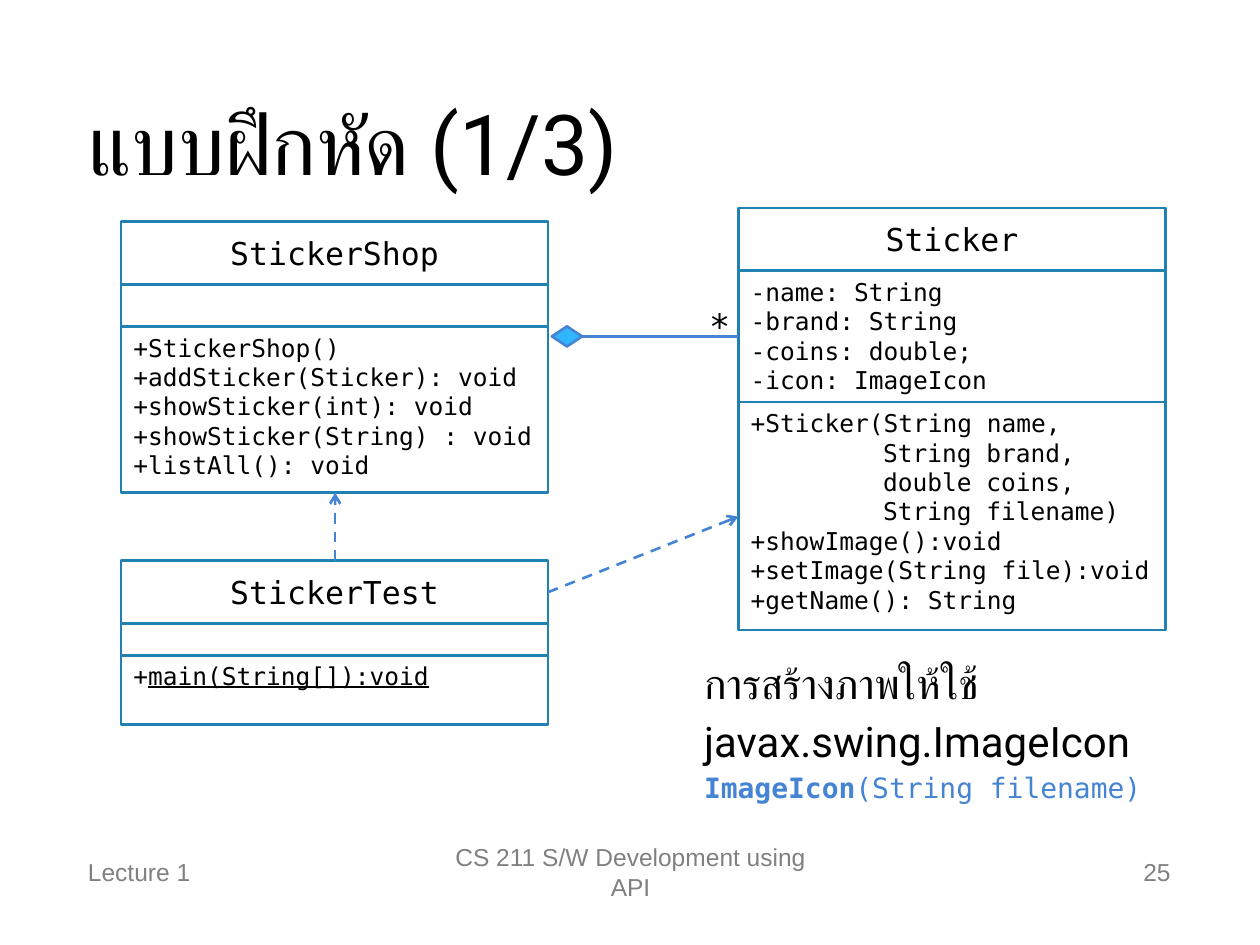
"""Build the sticker shop class diagram exercise slide."""
from dataclasses import dataclass

from lxml.etree import SubElement
from pptx import Presentation
from pptx.dml.color import RGBColor
from pptx.enum.dml import MSO_LINE
from pptx.enum.shapes import MSO_CONNECTOR, MSO_SHAPE
from pptx.enum.text import MSO_ANCHOR, PP_ALIGN
from pptx.oxml.ns import qn
from pptx.util import Inches, Pt

MONO, SANS, HEAD = "DejaVu Sans Mono", "Arial", "Roboto"
BLACK, GRAY, BORDER, LINK, DIAMOND = "000000", "808080", "2281B3", "4584D3", "31B6FD"
BOX_W, NAME_H = 3.39, 0.5


@dataclass
class Run:
    text: str
    size: float = 14
    font: str = MONO
    color: str = BLACK
    bold: bool = False
    underline: bool = False


@dataclass
class Para:
    runs: list[Run]
    align: PP_ALIGN = PP_ALIGN.LEFT
    indent: float = 0
    spacing: float = 1.0


@dataclass
class UmlClass:
    name: str
    left: float
    top: float
    fields: list[Para]
    fields_h: float
    methods: list[Para]
    methods_h: float


@dataclass
class Link:
    start: tuple[float, float]
    end: tuple[float, float]
    dashed: bool = True


@dataclass
class Label:
    box: tuple[float, float, float, float]
    paras: list[Para]
    anchor: MSO_ANCHOR = MSO_ANCHOR.TOP


def rgb(color: str) -> RGBColor:
    return RGBColor.from_string(color)


def lines(*texts: str, indent: float = 0) -> list[Para]:
    return [Para([Run(t)], indent=indent) for t in texts]


def write(tf, paras: list[Para], anchor=MSO_ANCHOR.TOP) -> None:
    tf.word_wrap = True
    tf.vertical_anchor = anchor
    for i, para in enumerate(paras):
        p = tf.add_paragraph() if i else tf.paragraphs[0]
        p.alignment = para.align
        p.line_spacing = para.spacing
        if para.indent:
            p._p.get_or_add_pPr().set("marL", str(Inches(para.indent)))
        for run in para.runs:
            r = p.add_run()
            r.text = run.text
            r.font.name = run.font
            r.font.size = Pt(run.size)
            r.font.bold = run.bold
            r.font.underline = run.underline
            r.font.color.rgb = rgb(run.color)


def style_line(line, color: str) -> None:
    line.color.rgb = rgb(color)
    line.width = Pt(1.5)


def add_class(shapes, uml: UmlClass) -> None:
    group = shapes.add_group_shape()
    name = [Para([Run(uml.name, 18)], PP_ALIGN.CENTER)]
    top = uml.top
    for height, paras, anchor in (
        (NAME_H, name, MSO_ANCHOR.MIDDLE),
        (uml.fields_h, uml.fields, MSO_ANCHOR.TOP),
        (uml.methods_h, uml.methods, MSO_ANCHOR.TOP),
    ):
        sp = group.shapes.add_shape(MSO_SHAPE.RECTANGLE, Inches(uml.left), Inches(top),
                                    Inches(BOX_W), Inches(height))
        sp.shadow.inherit = False
        sp.fill.background()
        style_line(sp.line, BORDER)
        write(sp.text_frame, paras, anchor)
        top += height


def add_link(shapes, link: Link) -> None:
    cxn = shapes.add_connector(MSO_CONNECTOR.STRAIGHT, *map(Inches, link.start + link.end))
    style_line(cxn.line, LINK)
    if link.dashed:
        cxn.line.dash_style = MSO_LINE.DASH
        SubElement(cxn.line._get_or_add_ln(), qn("a:tailEnd"), type="arrow")
    SubElement(cxn._element.spPr, qn("a:effectLst"))


def add_label(shapes, label: Label) -> None:
    tb = shapes.add_textbox(*map(Inches, label.box))
    write(tb.text_frame, label.paras, label.anchor)


def footer(left: float, width: float, text: str, align: PP_ALIGN) -> Label:
    run = Run(text, 14, SANS, GRAY)
    return Label((left, 6.72, width, 0.4), [Para([run], align)], MSO_ANCHOR.MIDDLE)


CLASSES = [
    UmlClass("StickerShop", 0.96, 1.76, [], 0.33,
             lines("+StickerShop()", "+addSticker(Sticker): void", "+showSticker(int): void",
                   "+showSticker(String) : void", "+listAll(): void"), 1.32),
    UmlClass("Sticker", 5.86, 1.65,
             lines("-name: String", "-brand: String", "-coins: double;", "-icon: ImageIcon"), 1.04,
             lines("+Sticker(String name,")
             + lines("String brand,", "double coins,", "String filename)", indent=1.05)
             + lines("+showImage():void", "+setImage(String file):void", "+getName(): String"),
             1.81),
    UmlClass("StickerTest", 0.96, 4.45, [], 0.25,
             [Para([Run("+"), Run("main(String[]):void", underline=True)])], 0.55),
]
LINKS = [
    Link((4.62, 2.67), (5.86, 2.67), dashed=False),
    Link((2.66, 4.45), (2.66, 3.91)),
    Link((4.35, 4.7), (5.86, 4.1)),
]
LABELS = [
    footer(0.6, 2.33, "Lecture 1", PP_ALIGN.LEFT),
    footer(3.42, 3.17, "CS 211 S/W Development using API", PP_ALIGN.CENTER),
    footer(7.06, 2.33, "25", PP_ALIGN.RIGHT),
    Label((5.53, 2.37, 0.34, 0.44), [Para([Run("*", 20)])]),
    Label((5.49, 5.11, 4.24, 1.4), [
        Para([Run("การสร้างภาพให้ใช้ javax.swing.ImageIcon", 24, HEAD)], spacing=1.15),
        Para([Run("ImageIcon", 16, color=LINK, bold=True),
              Run("(String filename)", 16, color=LINK)], spacing=1.15),
    ]),
]


def main() -> None:
    prs = Presentation()
    prs.slide_width, prs.slide_height = Inches(10), Inches(7.5)
    s = prs.slides.add_slide(prs.slide_layouts[5])
    title = s.shapes.title
    title.left, title.top, title.width, title.height = map(Inches, (0.6, 0.48, 8.79, 1.3))
    write(title.text_frame, [Para([Run("แบบฝึกหัด (1/3)", 48, HEAD)])], MSO_ANCHOR.MIDDLE)
    for uml in CLASSES:
        add_class(s.shapes, uml)
    for link in LINKS:
        add_link(s.shapes, link)
    sp = s.shapes.add_shape(MSO_SHAPE.DIAMOND, *map(Inches, (4.38, 2.59, 0.24, 0.16)))
    sp.shadow.inherit = False
    sp.fill.solid()
    sp.fill.fore_color.rgb = rgb(DIAMOND)
    style_line(sp.line, LINK)
    for label in LABELS:
        add_label(s.shapes, label)
    prs.save("out.pptx")


if __name__ == "__main__":
    main()
